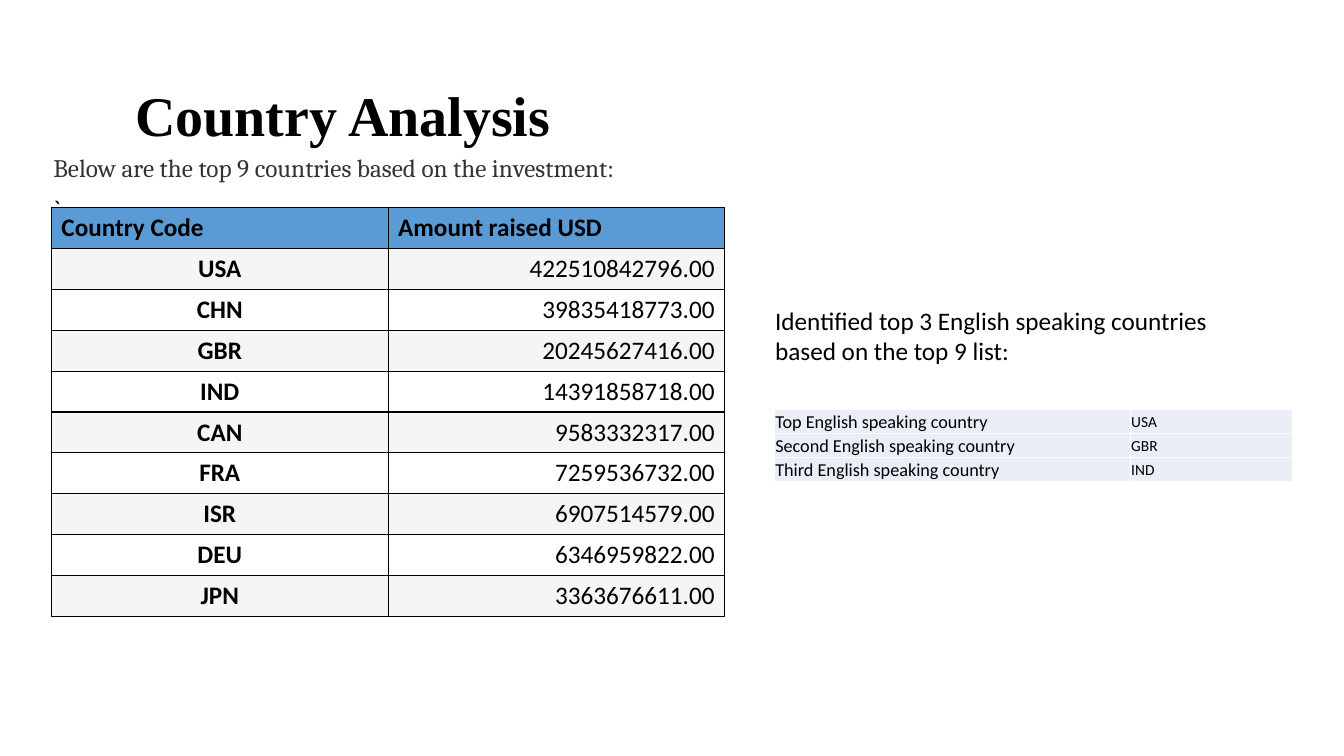
from dataclasses import dataclass

from lxml import etree
from pptx import Presentation
from pptx.dml.color import RGBColor
from pptx.enum.text import MSO_ANCHOR, MSO_AUTO_SIZE, PP_ALIGN
from pptx.oxml.ns import qn
from pptx.slide import Slide
from pptx.table import _Cell
from pptx.text.text import TextFrame, _Paragraph
from pptx.util import Inches, Pt

LEFT, MID, RIGHT = PP_ALIGN.LEFT, PP_ALIGN.CENTER, PP_ALIGN.RIGHT
TOP, CENTER = MSO_ANCHOR.TOP, MSO_ANCHOR.MIDDLE
NO_FIT, GROW = MSO_AUTO_SIZE.NONE, MSO_AUTO_SIZE.SHAPE_TO_FIT_TEXT

BLACK = RGBColor(0x00, 0x00, 0x00)
WHITE = RGBColor(0xFF, 0xFF, 0xFF)
GRAY = RGBColor(0x33, 0x33, 0x33)
BLUE = RGBColor(0x5B, 0x9B, 0xD5)
BAND = RGBColor(0xF5, 0xF5, 0xF5)
PALE = RGBColor(0xEA, 0xEF, 0xF7)

HEAD = ("Country Code", "Amount raised USD")
FUNDS = [
    ("USA", "422510842796.00"),
    ("CHN", "39835418773.00"),
    ("GBR", "20245627416.00"),
    ("IND", "14391858718.00"),
    ("CAN", "9583332317.00"),
    ("FRA", "7259536732.00"),
    ("ISR", "6907514579.00"),
    ("DEU", "6346959822.00"),
    ("JPN", "3363676611.00"),
]
RANKS = [("Top", "USA"), ("Second", "GBR"), ("Third", "IND")]


@dataclass
class Style:
    """Look of one line of text."""
    size: float
    face: str = "Calibri"
    color: RGBColor = BLACK
    bold: bool = False
    align: PP_ALIGN = LEFT


@dataclass
class Item:
    """One table cell: its words, look and fill."""
    text: str
    style: Style
    fill: RGBColor


@dataclass
class Grid:
    """A table: place, column widths, row height, border and rows."""
    left: float
    top: float
    cols: tuple[float, ...]
    high: float
    edge: RGBColor
    rows: list[list[Item]]
    pad: dict[str, float]


def apply(target: object, values: dict[str, object]) -> None:
    """Set each named attribute on the target."""
    for name, value in values.items():
        setattr(target, name, value)


def place(shape: object, left: float, top: float, width: float, high: float) -> None:
    """Move and size a shape, in inches."""
    apply(shape, {"left": Inches(left), "top": Inches(top),
                  "width": Inches(width), "height": Inches(high)})


def write(para: _Paragraph, text: str, style: Style) -> None:
    """Put styled text in a paragraph."""
    run = para.add_run()
    run.text = text
    para.alignment = style.align
    apply(run.font, {"size": Pt(style.size), "name": style.face, "bold": style.bold})
    run.font.color.rgb = style.color


def setup(frame: TextFrame, anchor: MSO_ANCHOR, fit: MSO_AUTO_SIZE) -> None:
    """Make a text frame wrap, with the given anchor and fit."""
    apply(frame, {"word_wrap": True, "vertical_anchor": anchor, "auto_size": fit})


def border(cell: _Cell, color: RGBColor) -> None:
    """Draw a one-point line on all four sides of a cell."""
    props = cell._tc.get_or_add_tcPr()
    for side in "LRTB":
        line = etree.SubElement(props, qn(f"a:ln{side}"), w=str(Pt(1)))
        fill = etree.SubElement(line, qn("a:solidFill"))
        etree.SubElement(fill, qn("a:srgbClr"), val=str(color))


def draw(slide: Slide, grid: Grid) -> None:
    """Add a table to the slide."""
    count = len(grid.rows)
    table = slide.shapes.add_table(
        count, len(grid.cols), Inches(grid.left), Inches(grid.top),
        Inches(sum(grid.cols)), Inches(grid.high * count)).table
    for col, width in zip(table.columns, grid.cols):
        col.width = Inches(width)
    for row, items in zip(table.rows, grid.rows):
        row.height = Inches(grid.high)
        for cell, item in zip(row.cells, items):
            border(cell, grid.edge)
            cell.fill.solid()
            cell.fill.fore_color.rgb = item.fill
            cell.vertical_anchor = CENTER
            apply(cell, {f"margin_{side}": Inches(gap) for side, gap in grid.pad.items()})
            write(cell.text_frame.paragraphs[0], item.text, item.style)


deck = Presentation()
deck.slide_width, deck.slide_height = Inches(13.33), Inches(7.5)
slide = deck.slides.add_slide(deck.slide_layouts[1])

title, body = slide.placeholders
place(title, 1.24, 0.7, 10.19, 0.94)
setup(title.text_frame, CENTER, NO_FIT)
head = title.text_frame.paragraphs[0]
head.line_spacing = 0.9
write(head, "Country Analysis", Style(40, "Times New Roman", bold=True))

place(body, 0.43, 1.49, 12.21, 4.75)
setup(body.text_frame, TOP, NO_FIT)
body.text_frame.add_paragraph()
intro = [("Below are the top 9 countries based on the investment:",
          Style(18, "Cambria", GRAY)), ("`", Style(18))]
for para, (text, style) in zip(body.text_frame.paragraphs, intro):
    apply(para, {"line_spacing": 0.9, "space_before": Pt(10)})
    props = para._p.get_or_add_pPr()
    props.set("marL", "0")
    props.set("indent", "0")
    etree.SubElement(props, qn("a:buNone"))
    write(para, text, style)

strong, code, amount = Style(18, bold=True), Style(18, bold=True, align=MID), Style(18, align=RIGHT)
funds = [[Item(text, strong, BLUE) for text in HEAD]]
for i, (land, total) in enumerate(FUNDS):
    fill = WHITE if i % 2 else BAND
    funds.append([Item(land, code, fill), Item(total, amount, fill)])
ranks = [[Item(f"{rank} English speaking country", Style(13), PALE),
          Item(land, Style(11), PALE)] for rank, land in RANKS]

draw(slide, Grid(0.51, 2.06, (3.34, 3.34), 0.4, BLACK, funds, {}))
draw(slide, Grid(7.68, 4.06, (3.53, 1.61), 0.24, WHITE, ranks,
                 {"left": 0.01, "right": 0.01, "top": 0.01, "bottom": 0}))

note = slide.shapes.add_textbox(Inches(7.59), Inches(2.98), Inches(5.14), Inches(0.71))
setup(note.text_frame, TOP, GROW)
write(note.text_frame.paragraphs[0],
      "Identified top 3 English speaking countries based on the top 9 list:", Style(18))

deck.save("out.pptx")
